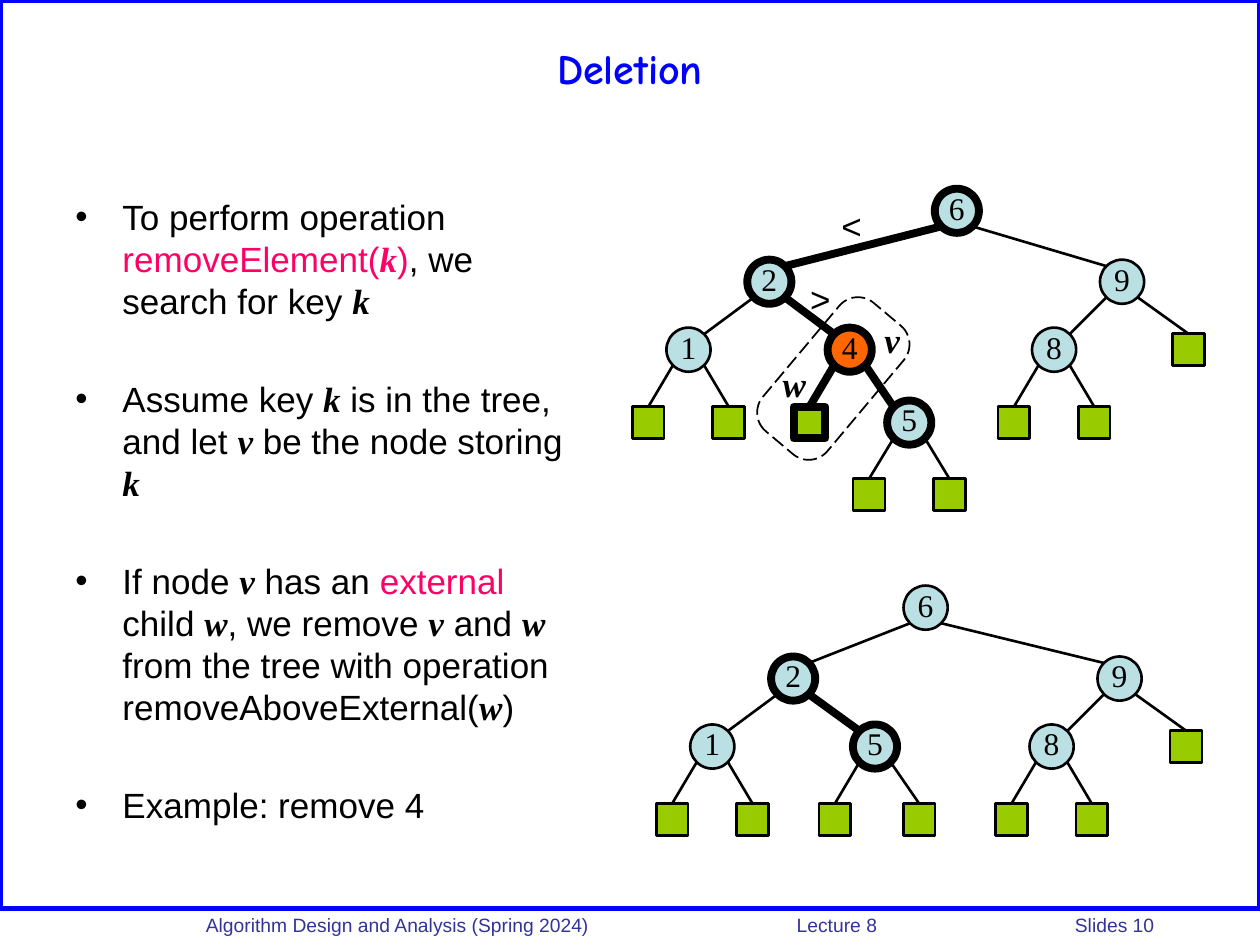
from dataclasses import dataclass
from typing import Any, Optional

from lxml.etree import SubElement
from pptx import Presentation
from pptx.dml.color import RGBColor
from pptx.enum.dml import MSO_LINE
from pptx.enum.shapes import MSO_CONNECTOR, MSO_SHAPE
from pptx.enum.text import MSO_ANCHOR, MSO_AUTO_SIZE, PP_ALIGN
from pptx.oxml.ns import qn
from pptx.util import Cm, Pt

COLORS = {
    "black": "000000", "blue": "0000FF", "footer": "333399", "pink": "FF0066",
    "node": "BBE0E3", "removed": "FF6600", "leaf": "99CC00",
}
FONTS = {
    "plain": {"name": "Arial", "size": Pt(20), "bold": False},
    "variable": {"name": "Times New Roman", "size": Pt(20), "bold": True, "italic": True},
    "key": {"name": "Times New Roman", "size": Pt(18)},
    "title": {"name": "Comic Neue", "size": Pt(24), "bold": True},
    "footer": {"name": "Arial", "size": Pt(11)},
}
LEVELS = (4.25, 5.68, 7.05, 8.52, 9.97)
NODE_SIZE = 0.89
LEAF_SIZE = 0.64
DIAGONAL = NODE_SIZE / 2 * 0.707
THIN, THICK = 1.5, 4.5
INDENT = 0.95


@dataclass
class Node:
    x: float
    label: str = ""
    left: Optional["Node"] = None
    right: Optional["Node"] = None
    heavy: bool = False
    fill: str = "node"


@dataclass
class Span:
    text: str
    font: str = "plain"
    color: str = "black"


@dataclass
class Label:
    span: Span
    box: tuple[float, float, float, float]


def leaf(x: float, heavy: bool = False) -> Node:
    return Node(x, heavy=heavy, fill="leaf")


def lowest(x: float, label: str, heavy: bool = False, right_gap: float = 0.81) -> Node:
    return Node(x, label, leaf(x - 0.81), leaf(x + right_gap), heavy)


BEFORE = Node(
    19.29, "6",
    Node(15.51, "2", lowest(13.88, "1"),
         Node(17.13, "4", leaf(16.32, True), lowest(18.33, "5", True), True, "removed"), True),
    Node(22.62, "9", lowest(21.25, "8"), leaf(23.96)),
    True,
)
AFTER = Node(
    18.66, "6",
    Node(15.99, "2", lowest(14.36, "1"), lowest(17.64, "5", True, 0.89), True),
    Node(22.57, "9", lowest(21.2, "8"), leaf(23.91)),
)
V, W, K = (Span(letter, "variable") for letter in "vwk")
BULLETS = [
    [Span("To perform operation "), Span("removeElement(", color="pink"),
     Span("k", "variable", "pink"), Span(")", color="pink"), Span(", we search for key "), K],
    [Span("Assume key "), K, Span(" is in the tree, and let "), V,
     Span(" be the node storing "), K],
    [Span("If node "), V, Span(" has an "), Span("external", color="pink"), Span(" child "), W,
     Span(", we remove "), V, Span(" and "), W,
     Span(" from the tree with operation removeAboveExternal("), W, Span(")")],
    [Span("Example: remove 4")],
]
LABELS = [
    Label(V, (17.58, 6.3, 0.81, 1.09)),
    Label(W, (15.52, 7.19, 0.99, 1.09)),
    Label(Span("<"), (16.71, 3.99, 0.89, 1.09)),
    Label(Span(">"), (16.08, 5.46, 0.89, 1.09)),
]


def rgb(color: str) -> RGBColor:
    return RGBColor.from_string(COLORS[color])


def apply(target: Any, values: dict[str, Any]) -> None:
    for name, value in values.items():
        setattr(target, name, value)


def add_span(paragraph: Any, span: Span) -> None:
    run = paragraph.add_run()
    run.text = span.text
    apply(run.font, FONTS[span.font])
    run.font.color.rgb = rgb(span.color)


def add_text(slide: Any, box: tuple[float, float, float, float], span: Optional[Span] = None,
             **frame_values: Any) -> Any:
    frame = slide.shapes.add_textbox(*map(Cm, box)).text_frame
    apply(frame, {"word_wrap": True, **frame_values})
    if span:
        frame.paragraphs[0].alignment = PP_ALIGN.CENTER
        add_span(frame.paragraphs[0], span)
    return frame


def add_outline(slide: Any, kind: MSO_SHAPE, box: tuple[float, float, float, float],
                line_width: float, line_color: str = "black", fill: str = "") -> Any:
    shape = slide.shapes.add_shape(kind, *map(Cm, box))
    shape.shadow.inherit = False
    if fill:
        shape.fill.solid()
        shape.fill.fore_color.rgb = rgb(fill)
    else:
        shape.fill.background()
    shape.line.color.rgb = rgb(line_color)
    shape.line.width = Pt(line_width)
    return shape


def add_edge(slide: Any, parent: Node, child: Node, child_shape: Any,
             parent_y: float, child_y: float) -> None:
    side = 1 if child.x > parent.x else -1
    start = (child.x - side * DIAGONAL, child_y - DIAGONAL)
    end = (parent.x + side * DIAGONAL, parent_y + DIAGONAL)
    edge = slide.shapes.add_connector(MSO_CONNECTOR.STRAIGHT, *map(Cm, start + end))
    if not child.label:
        edge.begin_connect(child_shape, 0)
    edge.line.color.rgb = rgb("black")
    edge.line.width = Pt(THICK if parent.heavy and child.heavy else THIN)
    SubElement(edge.element.spPr, qn("a:effectLst"))


def draw_tree(slide: Any, node: Node, offset: float = 0, depth: int = 0) -> Any:
    y = LEVELS[depth] + offset
    size = NODE_SIZE if node.label else LEAF_SIZE
    kind = MSO_SHAPE.OVAL if node.label else MSO_SHAPE.RECTANGLE
    shape = add_outline(slide, kind, (node.x - size / 2, y - size / 2, size, size),
                        THICK if node.heavy else THIN, fill=node.fill)
    if node.label:
        frame = shape.text_frame
        apply(frame, {"margin_left": 0, "margin_right": 0, "margin_top": 0,
                      "margin_bottom": Cm(0.13), "word_wrap": False,
                      "vertical_anchor": MSO_ANCHOR.MIDDLE})
        frame.paragraphs[0].alignment = PP_ALIGN.CENTER
        add_span(frame.paragraphs[0], Span(node.label, "key"))
    for child in filter(None, (node.left, node.right)):
        child_shape = draw_tree(slide, child, offset, depth + 1)
        add_edge(slide, node, child, child_shape, y, LEVELS[depth + 1] + offset)
    return shape


def draw_bullets(slide: Any) -> None:
    frame = add_text(slide, (1.27, 3.81, 10.36, 13.54))
    for index, spans in enumerate(BULLETS):
        paragraph = frame.add_paragraph() if index else frame.paragraphs[0]
        apply(paragraph, {"line_spacing": Pt(24), "space_before": Pt(32 if index else 0)})
        properties = paragraph._p.get_or_add_pPr()
        properties.set("marL", str(Cm(INDENT)))
        properties.set("indent", str(-Cm(INDENT)))
        SubElement(properties, qn("a:buFont"), typeface="Arial")
        SubElement(properties, qn("a:buChar"), char="•")
        for span in spans:
            add_span(paragraph, span)


def draw_footer(slide: Any) -> None:
    frame = add_text(slide, (3.38, 18.29, 22.02, 0.66))
    paragraph = frame.paragraphs[0]
    tabs = SubElement(paragraph._p.get_or_add_pPr(), qn("a:tabLst"))
    for position in (0.52, 12.43, 18.04):
        SubElement(tabs, qn("a:tab"), pos=str(Cm(position)), algn="l")
    add_span(paragraph, Span("\tAlgorithm Design and Analysis (Spring 2024)\tLecture 8\tSlides 10",
                             "footer", "footer"))


def main() -> None:
    presentation = Presentation()
    apply(presentation, {"slide_width": Cm(25.4), "slide_height": Cm(19.05)})
    slide = presentation.slides.add_slide(presentation.slide_layouts[6])
    add_outline(slide, MSO_SHAPE.RECTANGLE, (0, 0, 25.4, 18.31), 3, "blue")
    draw_footer(slide)
    add_text(slide, (1.27, 0.2, 22.86, 2.34), Span("Deletion", "title", "blue"),
             vertical_anchor=MSO_ANCHOR.MIDDLE)
    draw_bullets(slide)
    draw_tree(slide, BEFORE)
    draw_tree(slide, AFTER, 8)
    for label in LABELS:
        add_text(slide, label.box, label.span, word_wrap=False,
                 auto_size=MSO_AUTO_SIZE.SHAPE_TO_FIT_TEXT)
    selection = add_outline(slide, MSO_SHAPE.ROUNDED_RECTANGLE, (15.11, 6.78, 3.38, 1.7), 1)
    selection.adjustments[0] = 0.29
    selection.rotation = 310
    selection.line.dash_style = MSO_LINE.LONG_DASH
    presentation.save("out.pptx")


if __name__ == "__main__":
    main()
